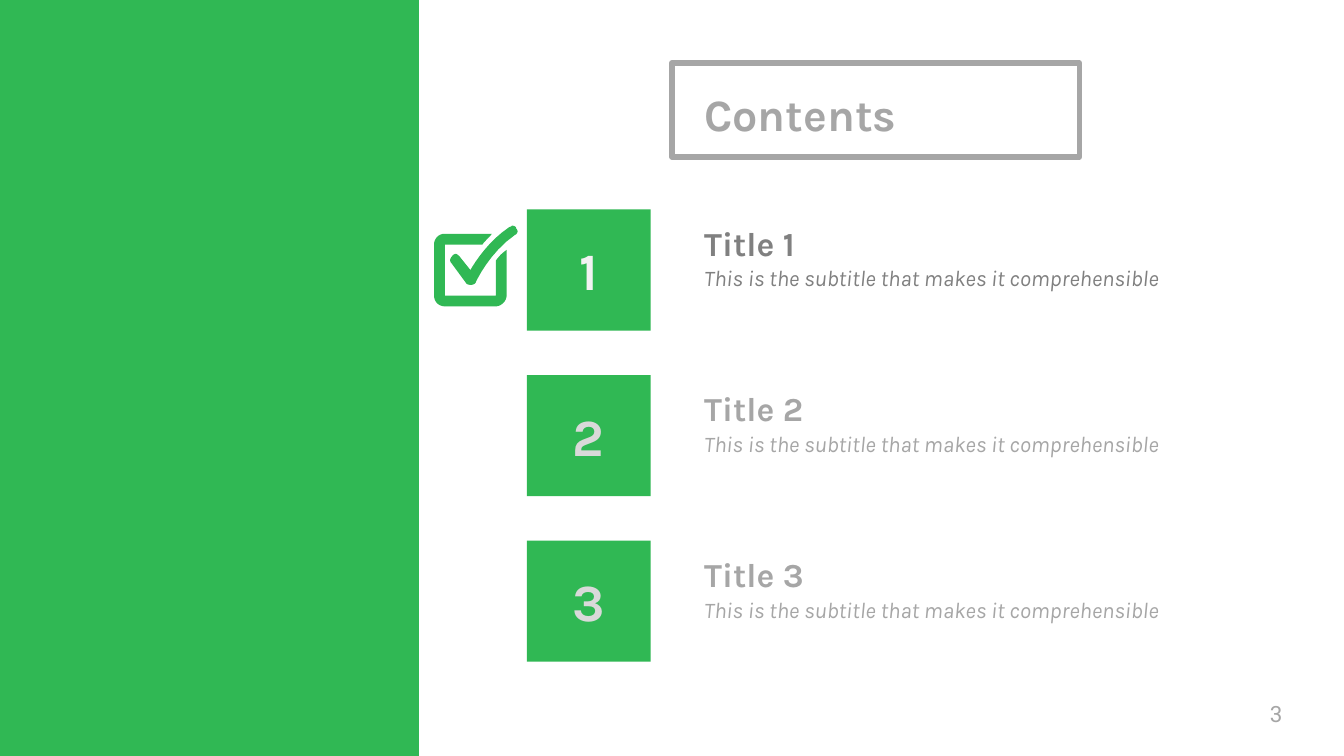
from pptx import Presentation
from pptx.dml.color import RGBColor
from pptx.enum.shapes import MSO_SHAPE
from pptx.enum.text import MSO_ANCHOR, PP_ALIGN
from pptx.util import Cm, Pt

GREEN = RGBColor(0x30, 0xB8, 0x54)
GRAY = RGBColor(0xA6, 0xA6, 0xA6)
DARK = RGBColor(0x80, 0x80, 0x80)
PALE = RGBColor(0xD9, 0xD9, 0xD9)
LIGHT = RGBColor(0xF2, 0xF2, 0xF2)

UNIT = Cm(0.0254)  # icon grid step
STEPS = 8
# Two numbers are a line end; six are a Bezier curve.
TICK = [(381, 168), (381, 168, 380, 169, 379, 169),
        (364, 179, 354, 194, 350, 201), (342, 191),
        (341, 190, 340, 189, 339, 189), (338, 189, 337, 190, 337, 190),
        (335, 192, 334, 194, 336, 196), (347, 211),
        (348, 212, 349, 212, 351, 212), (352, 212, 354, 211, 354, 210),
        (354, 210, 364, 188, 383, 175), (385, 174, 386, 172, 384, 170),
        (384, 169, 383, 168, 381, 168)]
CHECK_BOX = [(369, 194), (369, 220), (331, 220), (331, 182), (359, 182),
             (361, 179, 364, 177, 366, 174), (331, 174),
             (326, 174, 323, 178, 323, 182), (323, 220),
             (323, 224, 326, 228, 331, 228), (369, 228),
             (373, 228, 377, 224, 377, 220), (377, 186),
             (374, 188, 371, 191, 369, 194)]


def trace(path):
    """Turn lines and curves into a list of points in EMU."""
    dots = [path[0]]
    for part in path[1:]:
        if len(part) == 2:
            dots.append(part)
            continue
        a, b, c, d = dots[-1], part[:2], part[2:4], part[4:]
        for step in range(1, STEPS + 1):
            t = step / STEPS
            u = 1 - t
            dots.append(tuple(
                u**3 * p + 3 * u * u * t * q + 3 * u * t * t * r + t**3 * s
                for p, q, r, s in zip(a, b, c, d)))
    return [(round(x * UNIT), round(y * UNIT)) for x, y in dots]


class Deck:
    font = "Karla"
    inset = Cm(0.25)

    def __init__(self):
        self.file = Presentation()
        self.file.slide_width = Cm(25.4)
        self.file.slide_height = Cm(14.29)
        self.slide = self.file.slides.add_slide(self.file.slide_layouts[6])

    def paint(self, shape, fill=None, line=None):
        shape.shadow.inherit = False
        if fill is None:
            shape.fill.background()
        else:
            shape.fill.solid()
            shape.fill.fore_color.rgb = fill
        if line is None:
            shape.line.fill.background()
        else:
            shape.line.color.rgb = line
            shape.line.width = Pt(3)

    def rect(self, x, y, w, h, **look):
        shape = self.slide.shapes.add_shape(
            MSO_SHAPE.RECTANGLE, Cm(x), Cm(y), Cm(w), Cm(h))
        self.paint(shape, **look)

    def outline(self, path, **look):
        dots = trace(path)
        pen = self.slide.shapes.build_freeform(*dots[0])
        pen.add_line_segments(dots[1:], close=True)
        self.paint(pen.convert_to_shape(), **look)

    def text(self, words, x, y, w, h, size=12, color=GRAY, bold=False,
             italic=False, font=None, anchor=MSO_ANCHOR.MIDDLE,
             align=PP_ALIGN.LEFT, space=1.0):
        frame = self.slide.shapes.add_textbox(
            Cm(x), Cm(y), Cm(w), Cm(h)).text_frame
        frame.word_wrap = True
        frame.vertical_anchor = anchor
        frame.margin_left = frame.margin_right = self.inset
        frame.margin_top = frame.margin_bottom = self.inset
        para = frame.paragraphs[0]
        para.alignment = align
        para.line_spacing = space
        run = para.add_run()
        run.text = words
        style = run.font
        style.name = font or self.font
        style.size = Pt(size)
        style.bold = bold
        style.italic = italic
        style.color.rgb = color

    def entry(self, number, y, tint, ink):
        """Draw a numbered square with its title and subtitle."""
        self.rect(9.96, y, 2.34, 2.29, fill=GREEN)
        self.text(str(number), 9.37, y + 0.25, 3.5, 1.78, size=28,
                  color=tint, bold=True, align=PP_ALIGN.CENTER)
        self.text(f"Title {number}", 13.06, y - 0.64, 12.3, 1.9, size=18,
                  color=ink, bold=True, anchor=MSO_ANCHOR.BOTTOM)
        self.text("This is the subtitle that makes it comprehensible",
                  13.06, y + 0.79, 9.35, 1.6, color=ink, italic=True,
                  anchor=MSO_ANCHOR.TOP)


def main():
    deck = Deck()
    deck.rect(12.7, 1.19, 7.7, 1.78, line=GRAY)
    deck.rect(0, 0, 7.92, 14.29, fill=GREEN)
    deck.text("Contents", 13.06, 0.53, 12.3, 3.1, size=24, bold=True,
              space=1.15)
    for index in range(3):
        tint, ink = (PALE, GRAY) if index else (LIGHT, DARK)
        deck.entry(index + 1, 3.96 + 3.13 * index, tint, ink)
    for path in (TICK, CHECK_BOX):
        deck.outline(path, fill=GREEN)
    deck.text("3", 23.75, 12.95, 1.52, 1.09, font="Roboto")
    deck.file.save("out.pptx")


if __name__ == "__main__":
    main()
